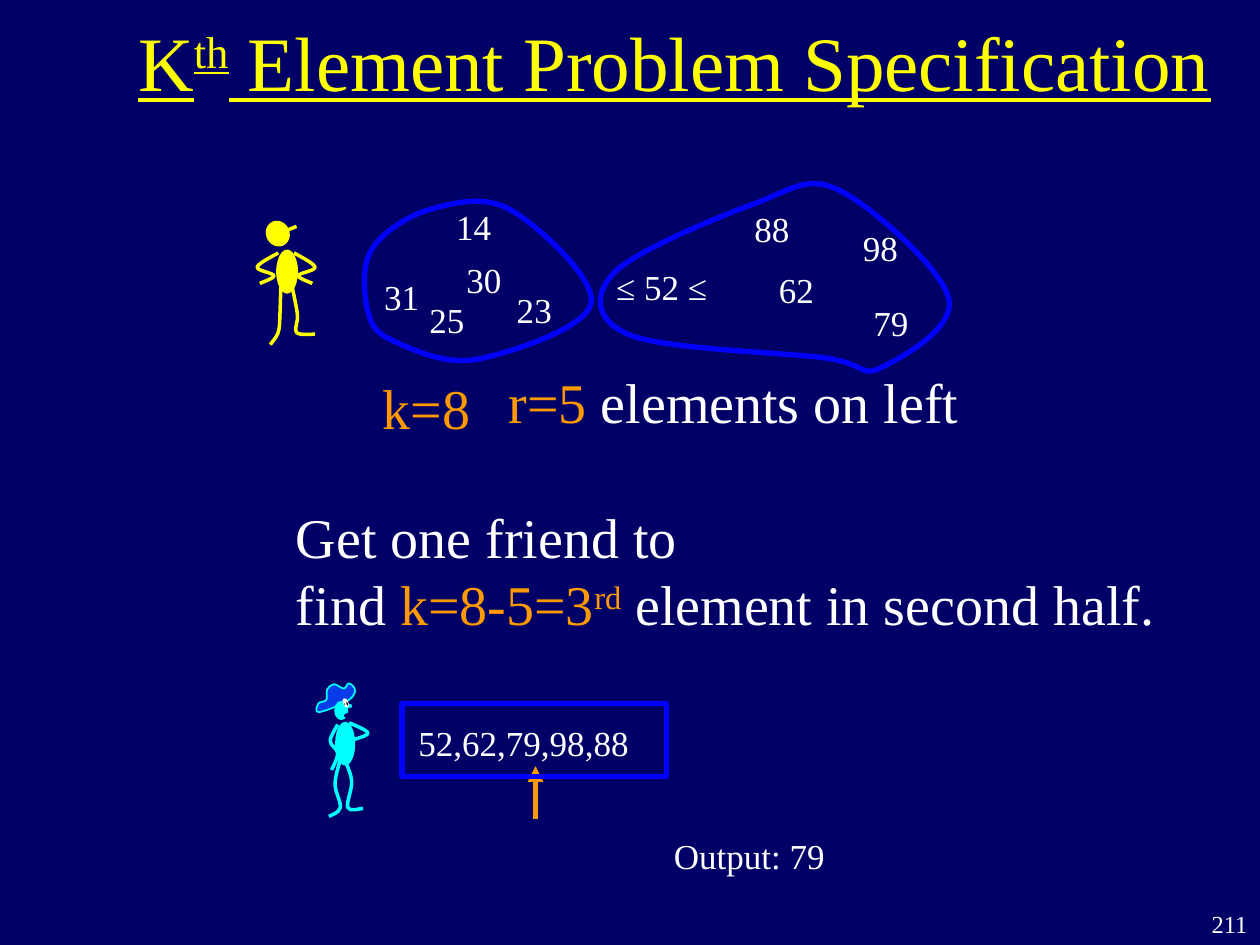
"""Build the slide on the kth element problem."""
from dataclasses import dataclass

from lxml.etree import Element, SubElement
from pptx import Presentation
from pptx.dml.color import RGBColor as RGB
from pptx.enum.shapes import MSO_CONNECTOR as CONN, MSO_SHAPE as SHAPE
from pptx.enum.text import MSO_ANCHOR as ANCHOR, MSO_AUTO_SIZE as FIT, PP_ALIGN as ALIGN
from pptx.oxml.ns import qn
from pptx.util import Pt


@dataclass(frozen=True)
class Theme:
    font: str = "Times New Roman"
    title: int = 44
    body: int = 32
    label: int = 20
    number: int = 14
    outline: int = 3
    limb: int = 2
    navy: RGB = RGB(0x00, 0x00, 0x66)
    white: RGB = RGB(0xFF, 0xFF, 0xFF)
    black: RGB = RGB(0x00, 0x00, 0x00)
    yellow: RGB = RGB(0xFF, 0xFF, 0x00)
    orange: RGB = RGB(0xFF, 0x99, 0x00)
    blue: RGB = RGB(0x00, 0x00, 0xFF)
    cyan: RGB = RGB(0x00, 0xFF, 0xFF)
    hat: RGB = RGB(0x06, 0x3D, 0xE8)


T = Theme()

prs = Presentation()
prs.slide_width, prs.slide_height = Pt(720), Pt(540)
s = prs.slides.add_slide(prs.slide_layouts[5])
s.background.fill.solid()
s.background.fill.fore_color.rgb = T.navy


def write(text, box, size=T.label, color=T.white, align=ALIGN.LEFT, shape=None, underline=None):
    """Write a string, or a list of (string, colour, is_superscript) runs, in a box."""
    sp = shape or s.shapes.add_textbox(0, 0, 0, 0)
    sp.left, sp.top, sp.width, sp.height = map(Pt, box)
    tf = sp.text_frame
    tf.auto_size, tf.word_wrap, tf.vertical_anchor = FIT.NONE, False, ANCHOR.TOP
    p = tf.paragraphs[0]
    p.alignment = align
    for part, tint, raised in [(text, color, False)] if isinstance(text, str) else text:
        if part == "\n":
            p.add_line_break()
            continue
        r = p.add_run()
        r.text = part
        r.font.name, r.font.size, r.font.underline = T.font, Pt(size), underline
        r.font.color.rgb = tint
        if raised:
            r.font._element.set("baseline", "30000")


def draw_curve(anchors, color, width, closed=False, fill=None):
    """Draw a smooth curve whose tangent at each anchor is parallel to its neighbours' chord."""
    n = len(anchors)
    before = [anchors[i - 1 if closed else max(i - 1, 0)] for i in range(n)]
    after = [anchors[(i + 1) % n if closed else min(i + 1, n - 1)] for i in range(n)]
    tangents = [((bx - ax) / 6, (by - ay) / 6) for (ax, ay), (bx, by) in zip(before, after)]
    pts = [anchors[0]]
    for i in range(n if closed else n - 1):
        j = (i + 1) % n
        (x0, y0), (x1, y1) = anchors[i], anchors[j]
        (dx0, dy0), (dx1, dy1) = tangents[i], tangents[j]
        pts += [(x0 + dx0, y0 + dy0), (x1 - dx1, y1 - dy1), (x1, y1)]
    tenths = [(round(10 * x), round(10 * y)) for x, y in pts]
    fb = s.shapes.build_freeform(*tenths[0], scale=Pt(0.1))
    fb.add_line_segments(tenths[1:], close=closed)
    sp = fb.convert_to_shape()
    sp.shadow.inherit = False
    sp.line.color.rgb, sp.line.width = color, Pt(width)
    if fill is None:
        sp.fill.background()
    else:
        sp.fill.solid()
        sp.fill.fore_color.rgb = fill
    segments = sp._element.xpath(".//a:lnTo")
    for i in range(0, len(segments), 3):
        cubic = Element(qn("a:cubicBezTo"))
        segments[i].addprevious(cubic)
        for segment in segments[i:i + 3]:
            cubic.append(segment[0])
            segment.getparent().remove(segment)


write([("K", T.yellow, False), ("th", T.yellow, True),
       (" Element Problem Specification", T.yellow, False)],
      (71, 4.6, 629, 60), T.title, align=ALIGN.CENTER, shape=s.shapes.title, underline=True)
write("211", (684, 516, 36, 24), T.number, align=ALIGN.RIGHT)

left_set = [(246.2, 119.5), (212.4, 142.6), (210.2, 177.8), (225.4, 195.1),
            (272.9, 205.2), (337.7, 173.5), (292.3, 120.2)]
right_set = [(430.6, 116.6), (350.6, 156.2), (360, 191.5), (470.9, 204.5),
             (503.3, 210.2), (542.2, 170.6), (479.5, 108.7)]
for anchors in (left_set, right_set):
    draw_curve(anchors, T.blue, T.outline, closed=True)

elements = [
    ("14", 253.5, 113.8, 34.5), ("25", 238.3, 167, 34.5), ("30", 259.4, 144, 34.5),
    ("23", 288.2, 161.3, 37.4), ("31", 212.4, 153.7, 34.5), ("88", 424, 115.2, 34.5),
    ("98", 486, 126, 41.8), ("62", 438, 149.8, 43.2), ("79", 492, 168.5, 34.5),
    ("≤ 52 ≤", 345, 148.3, 66.2),
]
for text, x, y, w in elements:
    write(text, (x, y, w, 31))

write("k=8", (211.7, 210.2, 64.8, 45.4), T.body, T.orange)
write([("r=5 ", T.orange, False), ("elements on left", T.white, False)],
      (283.5, 206.6, 271.4, 45.4), T.body)

body_axis = 163.5
left_arm = [(159, 144.5), (147, 152.6), (156.5, 157.5), (148.5, 162)]
right_arm = [(2 * body_axis - x, y) for x, y in left_arm]
asker = {
    "left arm": left_arm,
    "right arm": right_arm,
    "left leg": [(160.5, 164), (160, 180), (159, 190), (154.5, 197)],
    "right leg": [(167, 164), (170, 180), (169.5, 190), (180, 191)],
    "cap brim": [(163, 132), (169.5, 129.4)],
}
friend = {
    "back arm": [(193, 414), (188.7, 423.4), (193, 430.5), (189.5, 440)],
    "front arm": [(199.5, 413), (210.2, 419), (199, 423.5)],
    "back leg": [(194.5, 434), (191.5, 448), (194.5, 461.5), (188, 466.5)],
    "front leg": [(197, 434), (201, 446.5), (198.8, 461.5), (207.5, 462)],
    "nose": [(198, 404), (201, 403.2)],
}
for limbs, color in ((asker, T.yellow), (friend, T.cyan)):
    for joints in limbs.values():
        draw_curve(joints, color, T.limb)

hat = [(182.2, 407), (182, 402), (186.5, 400), (187, 394), (191, 391),
       (196.5, 393.5), (199.5, 390.5), (203, 394.8), (198, 401)]
draw_curve(hat, T.cyan, 1, closed=True, fill=T.hat)

ovals = {
    "asker head": (152, 126, 13.5, 15, -25, T.yellow, None),
    "asker body": (157.8, 142.6, 12.5, 25.2, 0, T.yellow, None),
    "friend head": (191, 400.5, 8, 11, 0, T.cyan, None),
    "friend body": (191.5, 412.5, 11.5, 25, 0, T.cyan, None),
    "back eye": (195.1, 401, 4.3, 1.4, 71.4, T.yellow, T.white),
    "back pupil": (195.8, 401.8, 2.2, 0.7, 71.4, T.black, None),
    "front eye": (195.8, 401, 4.3, 1.4, 71.4, T.yellow, T.white),
    "front pupil": (197.3, 401.8, 2.2, 0.7, 71.4, T.black, None),
    "mouth": (196.6, 407.5, 5, 2.9, 0, T.navy, None),
}
for x, y, w, h, angle, fill, edge in ovals.values():
    sp = s.shapes.add_shape(SHAPE.OVAL, Pt(x), Pt(y), Pt(w), Pt(h))
    sp.rotation, sp.shadow.inherit = angle, False
    sp.fill.solid()
    sp.fill.fore_color.rgb = fill
    if edge is None:
        sp.line.fill.background()
    else:
        sp.line.color.rgb, sp.line.width = edge, Pt(1)

write([("Get one friend to ", T.white, False), ("\n", T.white, False), ("find ", T.white, False),
       ("k=8-5=3", T.orange, False), ("rd", T.orange, True),
       (" element in second half.", T.white, False)], (162, 283.7, 514.8, 84.2), T.body)

arrow = s.shapes.add_connector(CONN.STRAIGHT, Pt(306), Pt(468), Pt(306), Pt(437.8))
arrow.line.color.rgb, arrow.line.width = T.orange, Pt(T.outline)
SubElement(arrow.line._get_or_add_ln(), qn("a:tailEnd"), type="triangle")
SubElement(arrow._element.spPr, qn("a:effectLst"))

write("Output: 79", (378, 473.3, 100.8, 31))
write("52,62,79,98,88", (232, 409, 134.6, 31))

frame = s.shapes.add_shape(SHAPE.RECTANGLE, Pt(229.7), Pt(401.8), Pt(151.2), Pt(41.8))
frame.shadow.inherit = False
frame.fill.background()
frame.line.color.rgb, frame.line.width = T.blue, Pt(T.outline)

prs.save("out.pptx")
